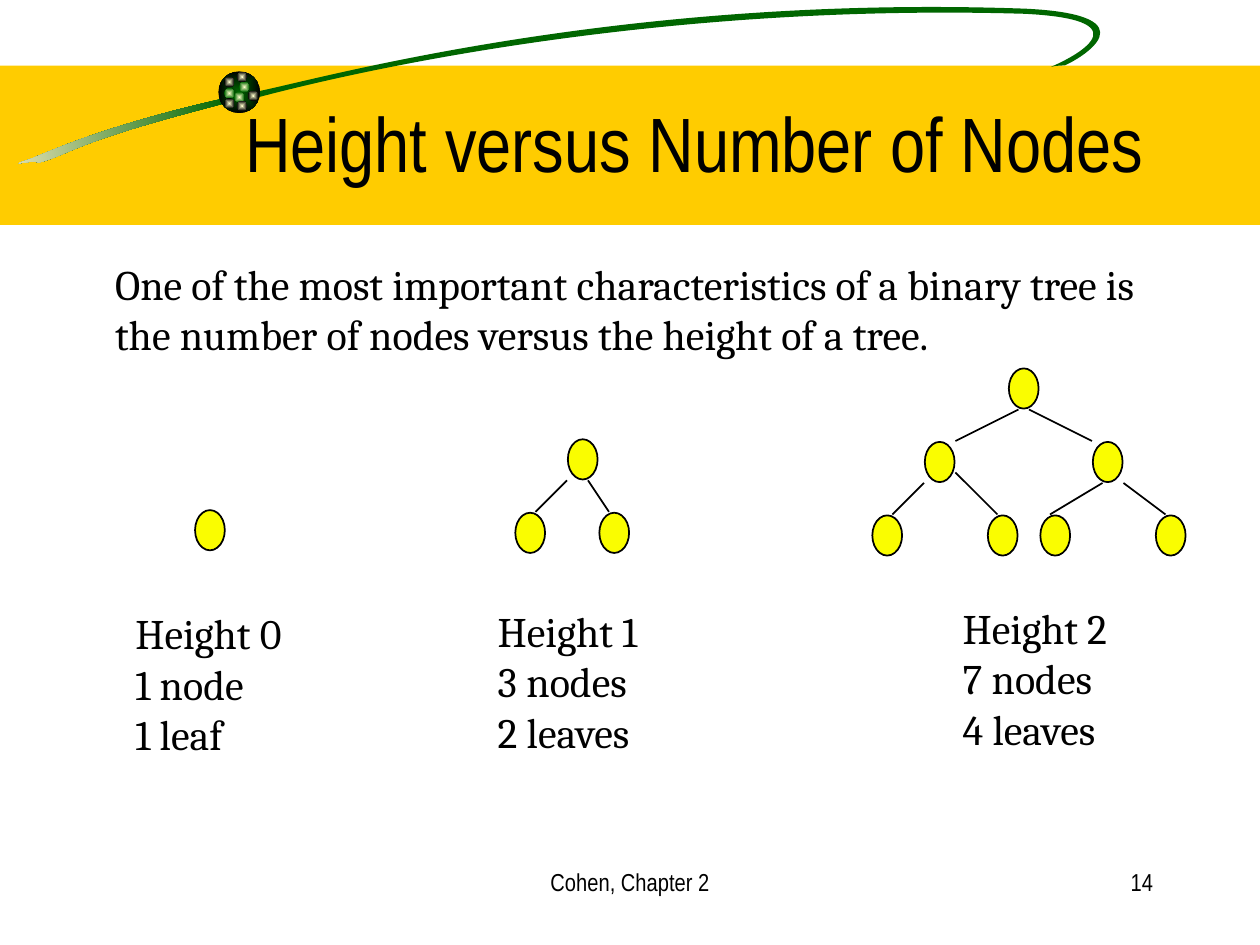
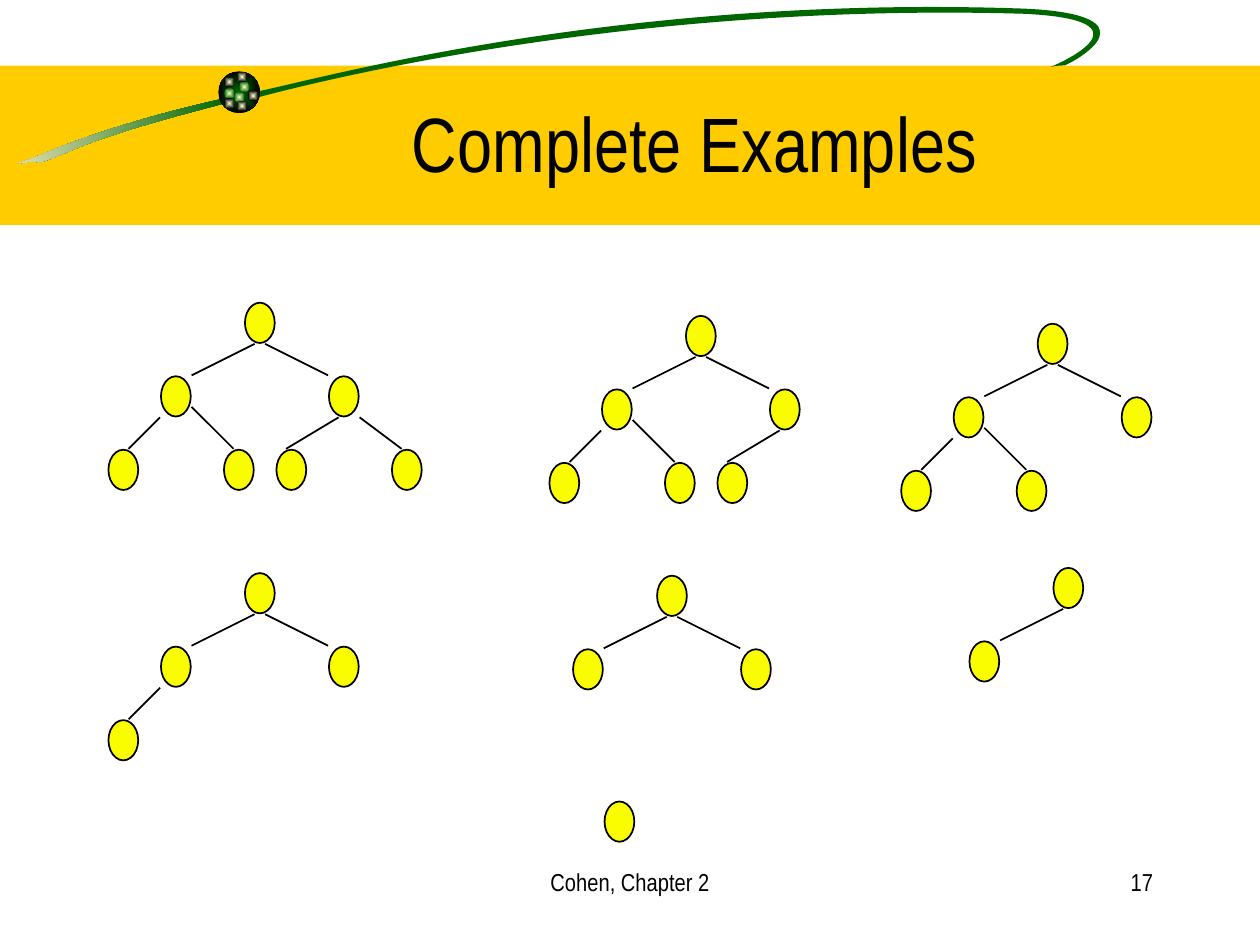
import math
from dataclasses import dataclass

import pptx
import pptx.dml.color
import pptx.enum.shapes
import pptx.enum.text
import pptx.oxml
import pptx.oxml.ns
import pptx.util
from lxml import etree

Pt = pptx.util.Pt
qn = pptx.oxml.ns.qn
SHAPE = pptx.enum.shapes.MSO_SHAPE
ALIGN = pptx.enum.text.PP_ALIGN


@dataclass(frozen=True)
class Theme:
    gold: str = "FFCC00"
    green: str = "006600"
    cream: str = "F5EBC1"
    glow: str = "FFFFCC"
    black: str = "000000"
    white: str = "FFFFFF"
    node: str = "FAFD00"
    heading_font: str = "Arial Narrow"
    body_font: str = "Cambria"
    title_size: int = 44
    body_size: int = 24
    footer_size: int = 14


THEME = Theme()

# ---- Content: each tree is (root centre, branches below the root) ----
FOOTER = "Cohen, Chapter 2"
FULL = ["L", "R", "LL", "LR", "RL", "RR"]

SLIDES = [
    {
        "title": "Height versus Number of Nodes",
        "number": "14",
        "intro": "One of the most important characteristics of a binary tree is "
                 "the number of nodes versus the height of a tree.",
        "trees": [
            ((120, 303), []),
            ((333, 262.5), ["narrow L", "narrow R"]),
            ((585, 222), FULL),
        ],
        "captions": [
            ((70.2, 343.8), ["Height 0", "1 node", "1 leaf"]),
            ((277.3, 342.4), ["Height 1", "3 nodes", "2 leaves"]),
            ((543, 340.8), ["Height 2", "7 nodes", "4 leaves"]),
        ],
    },
    {
        "title": "Complete Examples",
        "number": "17",
        "trees": [
            ((148.5, 184.5), FULL),
            ((400.5, 192), FULL[:5]),
            ((601.5, 196.5), FULL[:4]),
            ((148.5, 339), FULL[:3]),
            ((384, 340.5), FULL[:2]),
            ((610.5, 336), FULL[:1]),
            ((354, 469.5), []),
        ],
    },
]

# ---- Branches: node centre, edge start, edge end, from the root centre ----
NODE_SIZE = (17, 23)
BRANCHES = {
    "L": ((-48, 42), (-39, 30), (-3, 12)),
    "R": ((48, 42), (39, 30), (3, 12)),
    "LL": ((-78, 84), (-75, 72), (-57, 54)),
    "LR": ((-12, 84), (-15, 72), (-39, 48)),
    "RL": ((18, 84), (45, 54), (15, 72)),
    "RR": ((84, 84), (57, 54), (81, 72)),
    "narrow L": ((-30, 42), (-27, 30), (-9, 12)),
    "narrow R": ((18, 42), (15, 30), (3, 12)),
}

# ---- Ornament: box before tilting, start point, then curves as they lie ----
TILT = 8.5
TAIL = ((-2.2, 65.5, 132.5, 21.6), (128.2, 56.2), [
    [(65.5, 70.6), (35.3, 83.5), (18, 90.7)],
    [(0.7, 96.5), (18.7, 90.7), (22.3, 92.9)],
    [(41, 87.8), (41, 81.4), (128.9, 59)],
    [(128.9, 59), (128.2, 56.2), (128.2, 56.2)],
])
LOOP = ((144.7, -10.8, 515.5, 78.5), (145.4, 52.6), [
    [(177.1, 46.8), (349.9, -3.6), (586.1, 5)],
    [(660.2, 8.6), (617, 33.8), (608.4, 37.4)],
    [(608.4, 37.4), (603.4, 37.4), (600.5, 38.2)],
    [(607.7, 35.3), (659.5, 11.5), (585.4, 7.9)],
    [(394.6, 2.2), (230.4, 33.8), (148.3, 55.4)],
    [(148.3, 55.4), (145.4, 52.6), (145.4, 52.6)],
])
BALL = (124.8, 40.8, 23.8, 23.8)
SPARK_SIZE = 5.8
SPARKS = [
    (136.8, 46.8, THEME.green), (128.2, 43.9, THEME.black),
    (128.2, 50.4, THEME.green), (133.9, 52.6, THEME.green),
    (141.8, 51.8, THEME.black), (135.4, 57.6, THEME.black),
    (128.2, 56.2, THEME.black), (135.4, 41, THEME.black),
]


def rgb(colour):
    return pptx.dml.color.RGBColor.from_string(colour)


# ---- Drawing helpers ----
def fill_solid(shape, colour):
    shape.fill.solid()
    shape.fill.fore_color.rgb = rgb(colour)


def fill_gradient(shape, first, last):
    shape.fill.gradient()
    shape.fill.gradient_angle = 180
    for stop, colour, position in zip(shape.fill.gradient_stops, (first, last), (0, 1)):
        stop.color.rgb = rgb(colour)
        stop.position = position


def fill_from_centre(shape, inner, outer):
    fill_gradient(shape, inner, outer)
    linear = shape.element.spPr.find(".//" + qn("a:lin"))
    linear.getparent().replace(linear, pptx.oxml.parse_xml(
        f'<a:path {pptx.oxml.ns.nsdecls("a")} path="rect">'
        '<a:fillToRect l="50000" t="50000" r="50000" b="50000"/></a:path>'))


def plain(shape):
    shape.shadow.inherit = False
    shape.line.fill.background()
    return shape


def add_preset(slide, kind, box):
    return plain(slide.shapes.add_shape(kind, *map(Pt, box)))


def add_tilted_outline(slide, outline):
    (left, top, width, height), start, curves = outline
    builder = slide.shapes.build_freeform(Pt(left), Pt(top))
    builder.add_line_segments([
        (Pt(left + width), Pt(top)), (Pt(left + width), Pt(top + height)),
        (Pt(left), Pt(top + height))])
    shape = plain(builder.convert_to_shape())
    shape.rotation = 360 - TILT

    # Trace the curves inside the box, turned back by the tilt
    outline_path = shape.element.spPr.find(".//" + qn("a:path"))
    for step in list(outline_path):
        outline_path.remove(step)
    cos, sin = math.cos(math.radians(TILT)), math.sin(math.radians(TILT))

    def trace(tag, points):
        command = etree.SubElement(outline_path, qn(tag))
        for x, y in points:
            dx, dy = x - left - width / 2, y - top - height / 2
            etree.SubElement(command, qn("a:pt"),
                             x=str(Pt(width / 2 + dx * cos - dy * sin)),
                             y=str(Pt(height / 2 + dx * sin + dy * cos)))

    trace("a:moveTo", [start])
    for curve in curves:
        trace("a:cubicBezTo", curve)
    trace("a:close", [])
    return shape


def style(paragraph, font, size, align=ALIGN.LEFT):
    paragraph.alignment = align
    paragraph.font.name = font
    paragraph.font.size = Pt(size)
    paragraph.font.color.rgb = rgb(THEME.black)


def add_text(slide, box, lines, font, size, align=ALIGN.LEFT, before=0):
    frame = slide.shapes.add_textbox(*map(Pt, box)).text_frame
    frame.word_wrap = True
    frame.text = "\n".join(lines)
    for paragraph in frame.paragraphs:
        style(paragraph, font, size, align)
        paragraph.space_before = Pt(before)


# ---- Shared layout: band, swoosh, pale strip and title place ----
def decorate_layout(layout, slide):
    """Draw the ornament on the slide, then move it behind the layout's parts."""
    band = add_preset(slide, SHAPE.RECTANGLE, (0, 37.5, 720, 91))
    fill_solid(band, THEME.gold)
    tail = add_tilted_outline(slide, TAIL)
    fill_gradient(tail, THEME.green, THEME.cream)
    loop = add_tilted_outline(slide, LOOP)
    fill_solid(loop, THEME.green)
    ball = add_preset(slide, SHAPE.OVAL, BALL)
    fill_from_centre(ball, THEME.green, THEME.black)
    ornament = [band, tail, loop, ball]
    for x, y, edge in SPARKS:
        spark = add_preset(slide, SHAPE.OVAL, (x, y, SPARK_SIZE, SPARK_SIZE))
        fill_from_centre(spark, THEME.glow, edge)
        ornament.append(spark)
    strip = add_preset(slide, SHAPE.RECTANGLE, (53.3, 148.3, 87.8, 391.7))
    fill_solid(strip, THEME.white)
    tint = strip.element.spPr.find(".//" + qn("a:srgbClr"))
    etree.SubElement(tint, qn("a:alpha"), val="50000")
    ornament.append(strip)

    tree = layout.element.cSld.spTree
    for index, part in enumerate(ornament):
        part.element.nvSpPr.cNvPr.set("id", str(100 + index))
        tree.insert(2 + index, part.element)

    title = layout.placeholders[0]
    title.left, title.top, title.width, title.height = map(Pt, (91, 36, 612, 90))


# ---- Slide parts ----
def add_node(slide, x, y):
    width, height = NODE_SIZE
    node = add_preset(slide, SHAPE.OVAL, (x - width / 2, y - height / 2, width, height))
    fill_solid(node, THEME.node)
    node.line.color.rgb = rgb(THEME.black)
    node.line.width = Pt(1)


def add_edge(slide, start, end):
    edge = slide.shapes.add_connector(
        pptx.enum.shapes.MSO_CONNECTOR.STRAIGHT, *map(Pt, start + end))
    edge.line.color.rgb = rgb(THEME.black)
    edge.line.width = Pt(1)
    etree.SubElement(edge.element.spPr, qn("a:effectLst"))


def add_tree(slide, root, branches):
    add_node(slide, *root)
    for branch in branches:
        node, start, end = [(root[0] + dx, root[1] + dy) for dx, dy in BRANCHES[branch]]
        add_node(slide, *node)
        add_edge(slide, start, end)


def fill_slide(slide, content):
    heading = slide.shapes.title.text_frame
    heading.text = content["title"]
    heading.auto_size = pptx.enum.text.MSO_AUTO_SIZE.NONE
    heading.vertical_anchor = pptx.enum.text.MSO_ANCHOR.MIDDLE
    style(heading.paragraphs[0], THEME.heading_font, THEME.title_size, ALIGN.CENTER)

    if "intro" in content:
        add_text(slide, (58.7, 144, 623.5, 93.5), [content["intro"]],
                 THEME.body_font, THEME.body_size, before=15)
    for root, branches in content["trees"]:
        add_tree(slide, root, branches)
    for (x, y), lines in content.get("captions", []):
        add_text(slide, (x, y, 110, 93.5), lines, THEME.body_font, THEME.body_size)

    add_text(slide, (246, 492, 228, 36), [FOOTER],
             THEME.heading_font, THEME.footer_size, ALIGN.CENTER)
    add_text(slide, (516, 492, 150, 36), [content["number"]],
             THEME.heading_font, THEME.footer_size, ALIGN.RIGHT)


def main():
    deck = pptx.Presentation()
    deck.slide_width, deck.slide_height = Pt(720), Pt(540)
    layout = deck.slide_layouts[5]
    slides = [deck.slides.add_slide(layout) for _ in SLIDES]
    decorate_layout(layout, slides[0])
    for slide, content in zip(slides, SLIDES):
        fill_slide(slide, content)
    deck.save("out.pptx")


if __name__ == "__main__":
    main()
